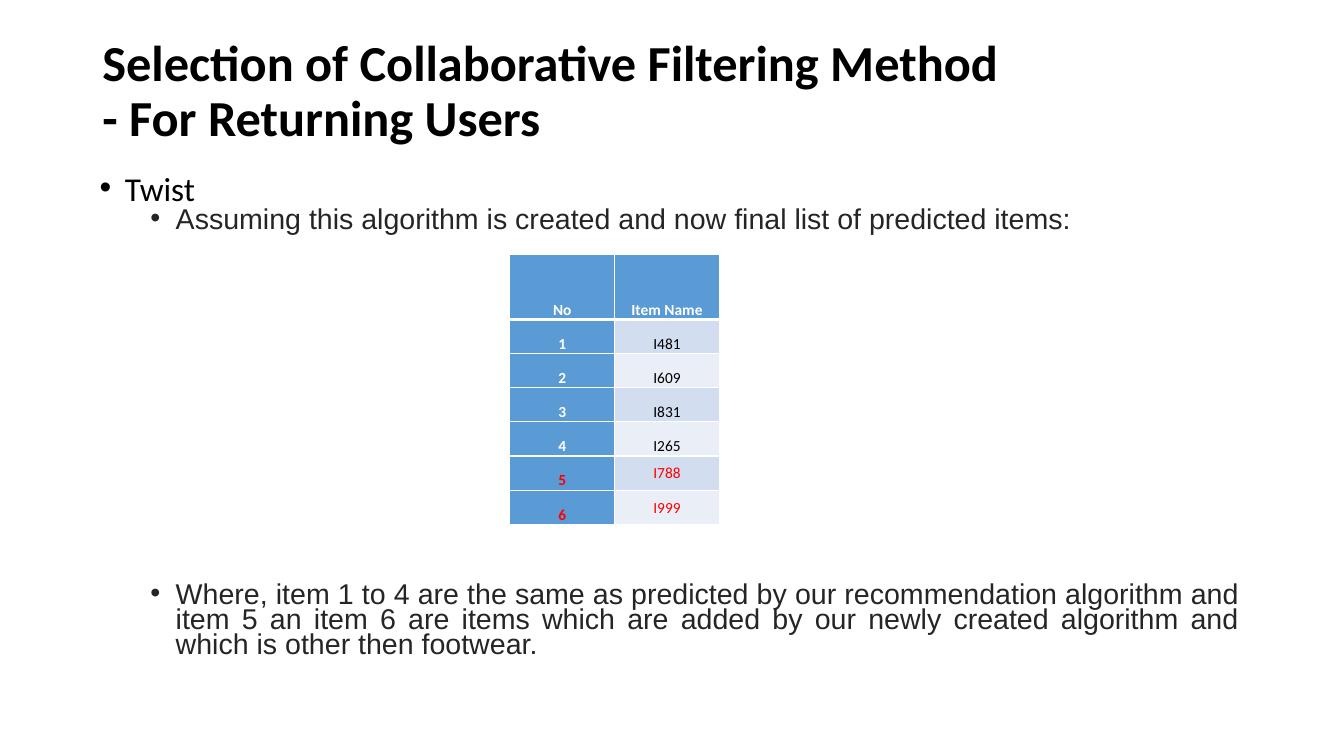
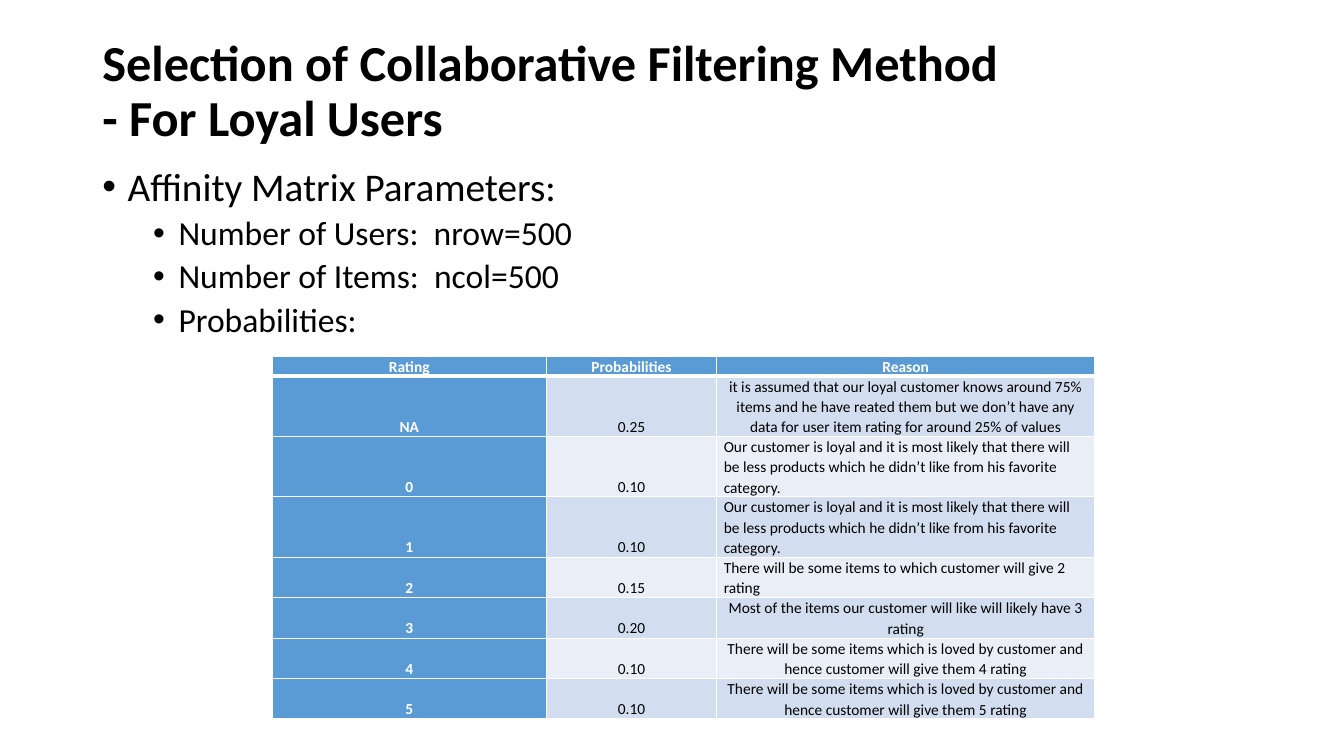
from lxml import etree
from pptx import Presentation
from pptx import util as u
from pptx.dml.color import RGBColor
from pptx.enum import text
from pptx.oxml import ns

BLACK = RGBColor(0x00, 0x00, 0x00)
WHITE = RGBColor(0xFF, 0xFF, 0xFF)
CHARCOAL = RGBColor(0x25, 0x25, 0x25)
RED = RGBColor(0xFF, 0x00, 0x00)
BLUE = RGBColor(0x5B, 0x9B, 0xD5)
BANDS = (RGBColor(0xD2, 0xDE, 0xEF), RGBColor(0xEA, 0xEF, 0xF7))

LEFT = text.PP_ALIGN.LEFT
CENTER = text.PP_ALIGN.CENTER
JUSTIFY = text.PP_ALIGN.JUSTIFY
BOTTOM = text.MSO_ANCHOR.BOTTOM
MIDDLE = text.MSO_ANCHOR.MIDDLE

TITLE_BOX = (2.33, 0.84, 29.21, 3.05)
INDENT = 0.64
CELL_MARGIN = 0.18
THIN, THICK = 1, 3

LOYAL_REASON = ("Our customer is loyal and it is most likely that there will be less "
                "products which he didn’t like from his favorite category.")
LOVED_REASON = ("There will be some items which is loved by customer and hence "
                "customer will give them {} rating")

ITEM_ROWS = [("No", "Item Name"), ("1", "I481"), ("2", "I609"), ("3", "I831"),
             ("4", "I265"), ("5", "I788"), ("6", "I999")]
RATING_ROWS = [
    ("Rating", "Probabilities", "Reason"),
    ("NA", "0.25", "it is assumed that our loyal customer knows around 75% items and he "
     "have reated them but we don’t have any data for user item rating for around 25% of values"),
    ("0", "0.10", LOYAL_REASON),
    ("1", "0.10", LOYAL_REASON),
    ("2", "0.15", "There will be some items to which customer will give 2 rating"),
    ("3", "0.20", "Most of the items our customer will like will likely have 3 rating"),
    ("4", "0.10", LOVED_REASON.format(4)),
    ("5", "0.10", LOVED_REASON.format(5)),
]


def write_text(paragraph, words, size, color=BLACK, bold=False, font="Calibri",
               align=LEFT, spacing=0.9, before=0):
    paragraph.text = words
    paragraph.alignment = align
    paragraph.line_spacing = spacing
    paragraph.space_before = u.Pt(before)
    for run in paragraph.runs:
        run.font.name = font
        run.font.size = u.Pt(size)
        run.font.bold = bold
        run.font.color.rgb = color


def add_bullet(paragraph, level):
    properties = paragraph._p.get_or_add_pPr()
    properties.set("marL", str(u.Cm(INDENT * (1 + 2 * level))))
    properties.set("indent", str(-u.Cm(INDENT)))
    etree.SubElement(properties, ns.qn("a:buFont"), typeface="Arial")
    etree.SubElement(properties, ns.qn("a:buChar"), char="•")
    paragraph.level = level


def add_text_frame(slide, box):
    frame = slide.shapes.add_textbox(*map(u.Cm, box)).text_frame
    frame.word_wrap = True
    return frame


def add_title(slide, audience):
    frame = add_text_frame(slide, TITLE_BOX)
    write_text(frame.paragraphs[0],
               f"Selection of Collaborative Filtering Method\n- For {audience} Users",
               size=36, bold=True)


def add_bullets(slide, box, items):
    frame = add_text_frame(slide, box)
    for index, (level, words, style) in enumerate(items):
        paragraph = frame.add_paragraph() if index else frame.paragraphs[0]
        add_bullet(paragraph, level)
        write_text(paragraph, words, **style)


def set_borders(cell, top, bottom):
    properties = cell._tc.get_or_add_tcPr()
    widths = {"lnL": THIN, "lnR": THIN, "lnT": top, "lnB": bottom}
    for index, (side, width) in enumerate(widths.items()):
        line = etree.Element(ns.qn(f"a:{side}"), w=str(u.Pt(width)))
        fill = etree.SubElement(line, ns.qn("a:solidFill"))
        etree.SubElement(fill, ns.qn("a:srgbClr"), val=str(WHITE))
        properties.insert(index, line)


def add_grid(slide, left, top, widths, heights, rows, left_aligned=(), highlighted=()):
    table = slide.shapes.add_table(len(rows), len(widths), u.Cm(left), u.Cm(top),
                                   u.Cm(sum(widths)), u.Cm(sum(heights))).table
    table.first_row = table.horz_banding = False
    for column, width in zip(table.columns, widths):
        column.width = u.Cm(width)
    for row_index, (row, height, values) in enumerate(zip(table.rows, heights, rows)):
        row.height = u.Cm(height)
        red = row_index in highlighted
        for column_index, (cell, value) in enumerate(zip(row.cells, values)):
            heading = row_index == 0 or column_index == 0
            cell.margin_left = cell.margin_right = u.Cm(CELL_MARGIN)
            cell.margin_top = cell.margin_bottom = 0
            cell.vertical_anchor = MIDDLE if red and not heading else BOTTOM
            cell.fill.solid()
            cell.fill.fore_color.rgb = BLUE if heading else BANDS[(row_index - 1) % 2]
            set_borders(cell, THICK if row_index == 1 else THIN,
                        THICK if row_index == 0 else THIN)
            write_text(cell.text_frame.paragraphs[0], value, size=11, bold=heading,
                       color=RED if red else WHITE if heading else BLACK, spacing=1.07,
                       align=LEFT if (row_index, column_index) in left_aligned else CENTER)


def build_returning_users(slide):
    add_title(slide, "Returning")
    detail = dict(size=20.4, font="Arial", color=CHARCOAL, align=JUSTIFY)
    add_bullets(slide, (2.26, 4.39, 29.21, 12.09), [
        (0, "Twist", dict(size=23.8, spacing=0.7)),
        (1, "Assuming this algorithm is created and now final list of predicted items:",
         dict(detail, spacing=0.8)),
        (1, "Where, item 1 to 4 are the same as predicted by our recommendation algorithm "
         "and item 5 an item 6 are items which are added by our newly created algorithm "
         "and which is other then footwear.", dict(detail, spacing=0.73, before=250)),
    ])
    add_grid(slide, 12.85, 6.4, [2.64] * 2, [1.65] + [0.86] * 6, ITEM_ROWS,
             highlighted=(5, 6))


def build_loyal_users(slide):
    add_title(slide, "Loyal")
    detail = dict(size=24, before=5)
    add_bullets(slide, (2.33, 4.09, 29.21, 12.09), [
        (0, "Affinity Matrix Parameters:", dict(size=28)),
        (1, "Number of Users:  nrow=500", detail),
        (1, "Number of Items:  ncol=500", detail),
        (1, "Probabilities:", detail),
    ])
    add_grid(slide, 6.86, 8.97, [6.91, 4.29, 9.53], [0.51] + [1.52] * 3 + [1.02] * 4,
             RATING_ROWS, left_aligned=((2, 2), (3, 2), (4, 2)))


def main():
    presentation = Presentation()
    presentation.slide_width = u.Cm(33.87)
    presentation.slide_height = u.Cm(19.05)
    for build in (build_returning_users, build_loyal_users):
        build(presentation.slides.add_slide(presentation.slide_layouts[6]))
    presentation.save("out.pptx")


if __name__ == "__main__":
    main()
